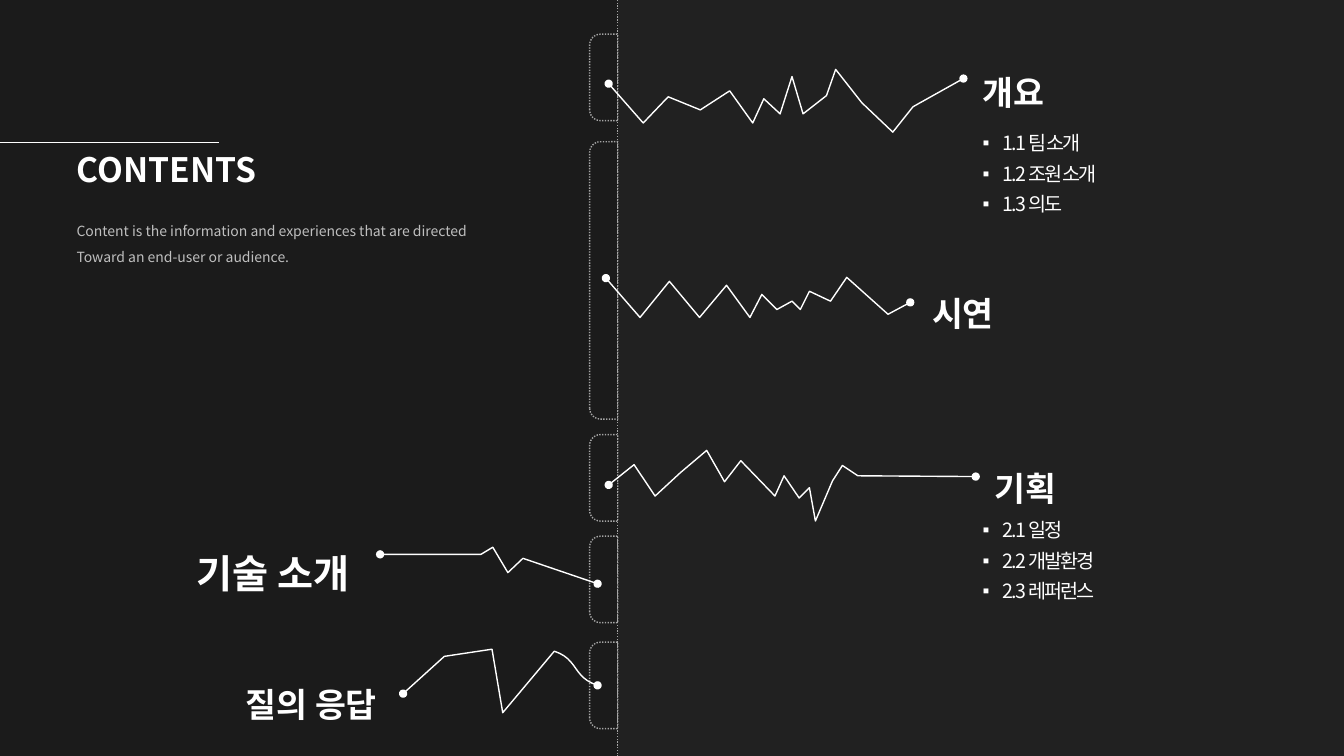
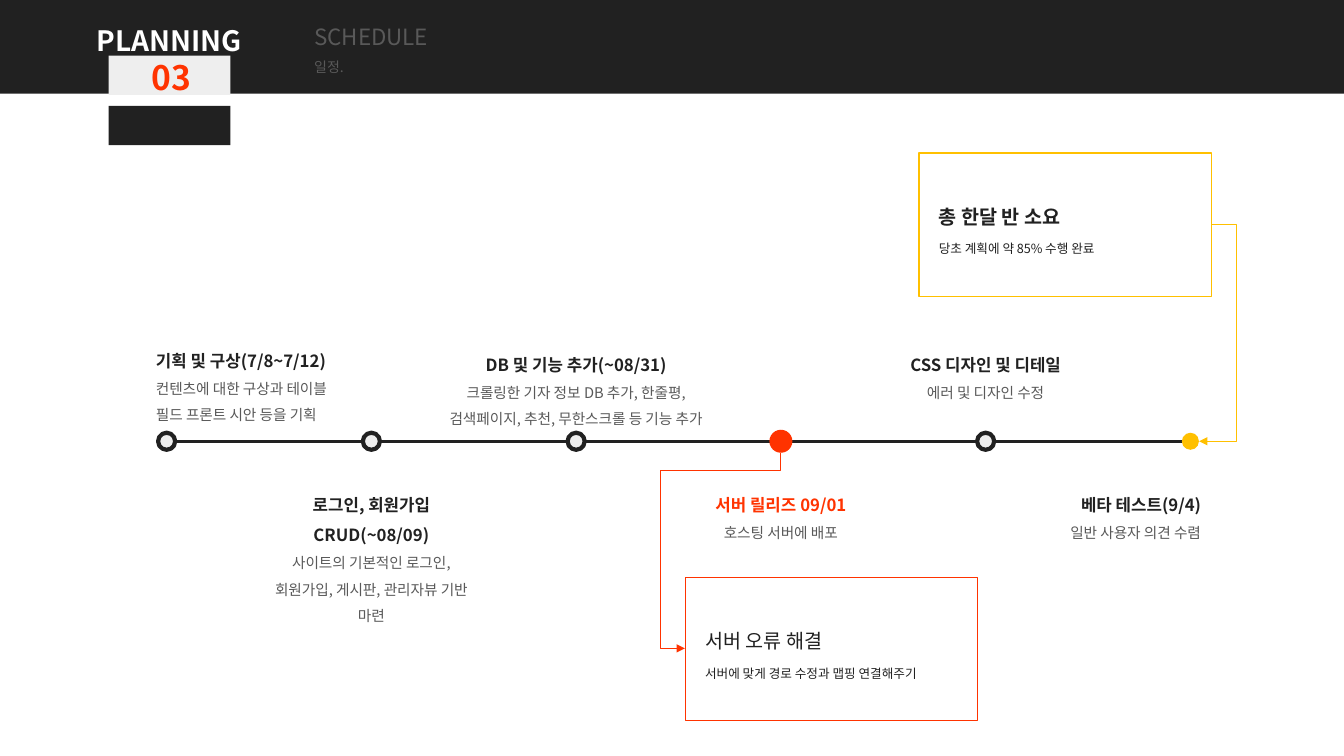
from copy import deepcopy

from lxml import etree
from pptx import Presentation
from pptx.dml.color import RGBColor
from pptx.enum import dml, shapes as kinds, text as txt
from pptx.oxml.ns import qn
from pptx.util import Cm, Pt

# Colours and font
WHITE = RGBColor(0xFF, 0xFF, 0xFF)
INK = RGBColor(0x21, 0x21, 0x21)
NIGHT = RGBColor(0x1B, 0x1B, 0x1B)
PALE = RGBColor(0xEE, 0xEE, 0xEE)
MIST = RGBColor(0xBF, 0xBF, 0xBF)
RULE = RGBColor(0xA6, 0xA6, 0xA6)
GREY = RGBColor(0x59, 0x59, 0x59)
RED = RGBColor(0xFF, 0x33, 0x00)
GOLD = RGBColor(0xFF, 0xC0, 0x00)
FONT = "Noto Sans CJK KR"

PRESET = kinds.MSO_SHAPE
LINK = kinds.MSO_CONNECTOR
ALIGN = txt.PP_ALIGN
ANCHOR = txt.MSO_ANCHOR
DOTS = dml.MSO_LINE.ROUND_DOT


# Text
def style(para, size=10.5, color=INK, bold=False, align=ALIGN.LEFT,
          space=1.5, before=0, track=0, bullet=None):
    para.alignment = align
    para.line_spacing = space
    para.space_before, para.space_after = Pt(before), Pt(0)
    for run in para.runs:
        font = run.font
        font.size, font.bold, font.name = Pt(size), bold, FONT
        font.color.rgb = color
        props = run._r.get_or_add_rPr()
        etree.SubElement(props, qn("a:ea"), typeface=FONT)
        if track:
            props.set("spc", str(int(track * 100)))
    for brk in para._p.findall(qn("a:br")):
        brk.insert(0, deepcopy(para.runs[0]._r.rPr))
    if bullet:
        props = para._p.get_or_add_pPr()
        props.set("marL", str(Cm(0.51)))
        props.set("indent", str(-Cm(0.51)))
        etree.SubElement(props, qn("a:buChar"), char=bullet)


def write(shape, *lines, wrap=True, anchor=ANCHOR.TOP, **base):
    """Each line is a text, or a pair of a text and its own format."""
    frame = shape.text_frame
    frame.auto_size = txt.MSO_AUTO_SIZE.NONE
    frame.word_wrap, frame.vertical_anchor = wrap, anchor
    for i, line in enumerate(lines):
        words, extra = (line, {}) if isinstance(line, str) else line
        para = frame.add_paragraph() if i else frame.paragraphs[0]
        para.text = words
        style(para, **{**base, **extra})


def label(slide, box, *lines, **fmt):
    write(slide.shapes.add_textbox(*map(Cm, box)), *lines, **fmt)


def fill_in(holder, box, *lines, **fmt):
    holder.left, holder.top, holder.width, holder.height = map(Cm, box)
    write(holder, *lines, **fmt)


# Shapes and lines
def paint(shape, fill=None, line=None, width=1, dash=None):
    shape.shadow.inherit = False
    if fill is None:
        shape.fill.background()
    else:
        shape.fill.solid()
        shape.fill.fore_color.rgb = fill
    if line is None:
        shape.line.fill.background()
    else:
        ink(shape.line, line, width, dash)


def ink(line, color, width, dash=None):
    line.color.rgb, line.width = color, Pt(width)
    if dash:
        line.dash_style = dash


def tip(shape, **ends):
    stroke = shape.line._get_or_add_ln()
    for end, kind in ends.items():
        etree.SubElement(stroke, qn(f"a:{end}End"), type=kind)


def block(slide, box, preset=PRESET.RECTANGLE, back=False, **look):
    shape = slide.shapes.add_shape(preset, *map(Cm, box))
    paint(shape, **look)
    if back:  # behind the placeholders
        shape._element.getparent().insert(2, shape._element)
    return shape


def dot(slide, x, y, size, **look):
    block(slide, (x - size / 2, y - size / 2, size, size), PRESET.OVAL, **look)


def link(slide, start, end, color, width, kind=LINK.STRAIGHT):
    wire = slide.shapes.add_connector(kind, *map(Cm, start + end))
    ink(wire.line, color, width)
    etree.SubElement(wire._element.spPr, qn("a:effectLst"))
    return wire


def elbow(slide, start, end, color, bends, turn=0):
    wire = link(slide, start, end, color, 0.5, LINK.ELBOW)
    tip(wire, tail="triangle")
    props = wire._element.spPr
    if turn:
        props.find(qn("a:xfrm")).set("rot", str(turn * 60000))
    geom = props.find(qn("a:prstGeom"))
    geom.set("prst", f"bentConnector{len(bends) + 2}")
    guides = geom.find(qn("a:avLst"))
    if guides is None:
        guides = etree.SubElement(geom, qn("a:avLst"))
    for i, bend in enumerate(bends, 1):
        etree.SubElement(guides, qn("a:gd"), name=f"adj{i}",
                         fmla=f"val {round(bend * 100000)}")


def zigzag(slide, points):
    spots = [(Cm(x), Cm(y)) for x, y in points]
    pen = slide.shapes.build_freeform(*spots[0])
    pen.add_line_segments(spots[1:], close=False)
    shape = pen.convert_to_shape()
    paint(shape, line=WHITE)
    tip(shape, head="oval", tail="oval")


def curve(a, b, c, d, steps=12):
    """Points along a cubic curve, without its first point."""
    for i in range(1, steps + 1):
        t = i / steps
        u = 1 - t
        yield tuple(u**3 * p + 3 * u * u * t * q + 3 * u * t * t * r + t**3 * s
                    for p, q, r, s in zip(a, b, c, d))


def bracket(slide, top, size):
    left, deep = 14.86, 0.71
    box = (left + (deep - size) / 2, top + (size - deep) / 2, size, deep)
    shape = block(slide, box, PRESET.ROUND_2_SAME_RECTANGLE, line=RULE, dash=DOTS)
    shape.rotation = 270
    shape.adjustments[0], shape.adjustments[1] = 0.385, 0


# Contents slide
BRACKETS = [(0.86, 2.18), (3.57, 6.99), (10.95, 2.18), (13.51, 2.18), (16.18, 2.18)]

ZIGZAGS = [
    [(15.34, 2.11), (16.21, 3.1), (16.84, 2.44), (17.65, 2.77), (18.39, 2.29),
     (18.97, 3.1), (19.25, 2.49), (19.66, 2.87), (19.96, 1.93), (20.24, 2.87),
     (20.83, 2.41), (21.06, 1.75), (21.72, 2.59), (22.5, 3.33), (23.01, 2.69),
     (24.28, 1.98)],
    [(15.27, 7.01), (16.13, 8), (16.87, 7.09), (17.63, 8), (18.31, 7.19),
     (18.9, 8), (19.2, 7.42), (19.58, 7.8), (19.96, 7.59), (20.17, 7.8),
     (20.4, 7.34), (20.93, 7.59), (21.34, 6.99), (22.38, 7.92), (22.94, 7.62)],
    [(15.34, 12.22), (15.98, 11.71), (16.51, 12.5), (17.15, 11.91), (17.81, 11.35),
     (18.26, 12.14), (18.67, 11.61), (19.53, 12.5), (19.76, 11.99), (20.14, 12.55),
     (20.4, 12.29), (20.55, 13.13), (20.98, 12.12), (21.23, 11.73), (21.62, 11.99),
     (24.59, 12.01)],
    [(9.58, 13.97), (12.12, 13.97), (12.42, 13.79), (12.8, 14.43), (13.18, 14.07),
     (15.06, 14.71)],
    [(10.16, 17.48), (11.2, 16.54), (12.4, 16.36), (12.67, 17.96), (13.97, 16.41),
     *curve((13.97, 16.41), (14.58, 16.61), (14.43, 17.07), (15.06, 17.27))],
]

HEADS = [
    ("개요", (24.51, 1.17, 2.24, 1.6), 24),
    ("시연", (23.24, 6.76, 2.24, 1.6), 24),
    ("기획", (24.82, 11.15, 2.24, 1.6), 24),
    ("기술 소개", (4.7, 13.13, 4.85, 1.83), 28),
    ("질의 응답", (5.94, 16.59, 4.24, 1.6), 24),
]

LISTS = [
    (3, ("1.1 팀 소개", "1.2 조원 소개", "1.3 의도")),
    (12.75, ("2.1 일정", "2.2 개발환경", "2.3 레퍼런스")),
]


def contents(deck):
    slide = deck.slides.add_slide(deck.slide_layouts[3])
    title, *bodies = slide.placeholders

    # Dark halves, the right one over the left one
    block(slide, (15.57, -0.3, 18.72, 19.81), back=True, fill=INK, line=RULE, dash=DOTS)
    block(slide, (-0.05, -0.3, 17.45, 19.56), back=True, fill=NIGHT, line=RULE, dash=DOTS)

    # Title and introduction
    fill_in(title, (1.68, 3.12, 10.92, 1.78), "CONTENTS",
            size=24, color=WHITE, bold=True)
    label(slide, (1.68, 5.28, 10.92, 1.52),
          "Content is the information and experiences that are directed",
          "Toward an end-user or audience.", size=10, color=MIST)
    link(slide, (0, 3.58), (5.51, 3.58), WHITE, 0.5)

    # Spine, branches and their names
    for top, size in BRACKETS:
        bracket(slide, top, size)
    for points in ZIGZAGS:
        zigzag(slide, points)
    for words, box, size in HEADS:
        label(slide, box, words, size=size, color=WHITE, bold=True, wrap=False)
    for body, (top, items) in zip(bodies, LISTS):
        fill_in(body, (24.51, top, 5.38, 2.59), *items, size=14, color=WHITE,
                space=1.3, track=-1.5, bullet="▪")


# Schedule slide
AXIS, FIRST, STEP = 11.12, 4.2, 5.16

# head, detail, top, width, height, alignment, head colour
STAGES = [
    ("기획 및 구상(7/8~7/12)", "컨텐츠에 대한 구상과 테이블\v필드 프론트 시안 등을 기획",
     8.46, 5.46, 2.36, ALIGN.LEFT, INK),
    ("로그인, 회원가입 CRUD(~08/09)",
     "사이트의 기본적인 로그인, 회원가입, 게시판, 관리자뷰 기반 마련",
     12.09, 5.46, 3.81, ALIGN.CENTER, INK),
    ("DB 및 기능 추가(~08/31)",
     "크롤링한 기자 정보 DB 추가, 한줄평, 검색페이지, 추천, 무한스크롤 등 기능 추가",
     8.56, 7.6, 2.36, ALIGN.CENTER, INK),
    ("서버 릴리즈 09/01", "호스팅 서버에 배포", 12.09, 5.46, 1.7, ALIGN.CENTER, RED),
    ("CSS 디자인 및 디테일", "에러 및 디자인 수정", 8.56, 5.46, 1.7, ALIGN.CENTER, INK),
    ("베타 테스트(9/4)", "일반 사용자 의견 수렴", 12.09, 5.46, 1.7, ALIGN.RIGHT, INK),
]


def stage(slide, x, head, detail, top, width, height, align, color):
    edge = 0.52
    left = {ALIGN.LEFT: x - edge, ALIGN.CENTER: x - width / 2,
            ALIGN.RIGHT: x + edge - width}[align]
    label(slide, (left, top, width, height),
          (head, dict(size=12, color=color, bold=True)), detail,
          color=GREY, align=align)


def callout(slide, left, top, color, head, detail, bold):
    box = block(slide, (left, top, 7.37, 3.61), fill=WHITE, line=color)
    box.text_frame.margin_left = Cm(0.5)
    write(box, (head, dict(size=14, bold=bold)), (detail, dict(size=9, before=3.6)),
          anchor=ANCHOR.MIDDLE)


def schedule(deck):
    slide = deck.slides.add_slide(deck.slide_layouts[5])

    # Header band
    block(slide, (0, 0, 33.87, 2.36), back=True, fill=INK)
    fill_in(slide.shapes.title, (2.18, 0.03, 4.29, 1.55), "PLANNING",
            size=20, color=WHITE, bold=True, wrap=False)
    label(slide, (7.67, 0.13, 13.41, 1.93), ("SCHEDULE", dict(size=16)), "일정.",
          size=10, color=GREY)
    for top, fill in ((1.4, PALE), (2.67, INK)):
        block(slide, (2.74, top, 3.07, 0.99), fill=fill)
    label(slide, (3.58, 1.3, 1.5, 1.27), "03", size=24, color=RED, bold=True,
          space=1, wrap=False)

    # Timeline
    spots = [FIRST + STEP * i for i in range(len(STAGES))]
    link(slide, (spots[0] + 0.22, AXIS), (spots[-1] - 0.22, AXIS), INK, 2.25)
    for i, (x, row) in enumerate(zip(spots, STAGES)):
        if i == 3:
            dot(slide, x, AXIS, 0.58, fill=RED)
        elif i == 5:
            dot(slide, x, AXIS, 0.43, fill=GOLD)
        else:
            dot(slide, x, AXIS, 0.43, fill=PALE, line=INK, width=3)
        stage(slide, x, *row)

    # Callouts
    callout(slide, 17.27, 14.55, RED, "서버 오류 해결",
            "서버에 맞게 경로 수정과 맵핑 연결해주기", False)
    elbow(slide, (16, 12.67), (20.93, 15.08), RED, (0.09, 1.26), turn=90)
    callout(slide, 23.16, 3.86, GOLD, "총 한달 반 소요",
            "당초 계획에 약 85% 수행 완료", True)
    elbow(slide, (30.53, 5.66), (30.22, AXIS), GOLD, (-2.06,))


def main():
    deck = Presentation()
    deck.slide_width, deck.slide_height = Cm(33.87), Cm(19.05)
    contents(deck)
    schedule(deck)
    deck.save("out.pptx")


if __name__ == "__main__":
    main()
